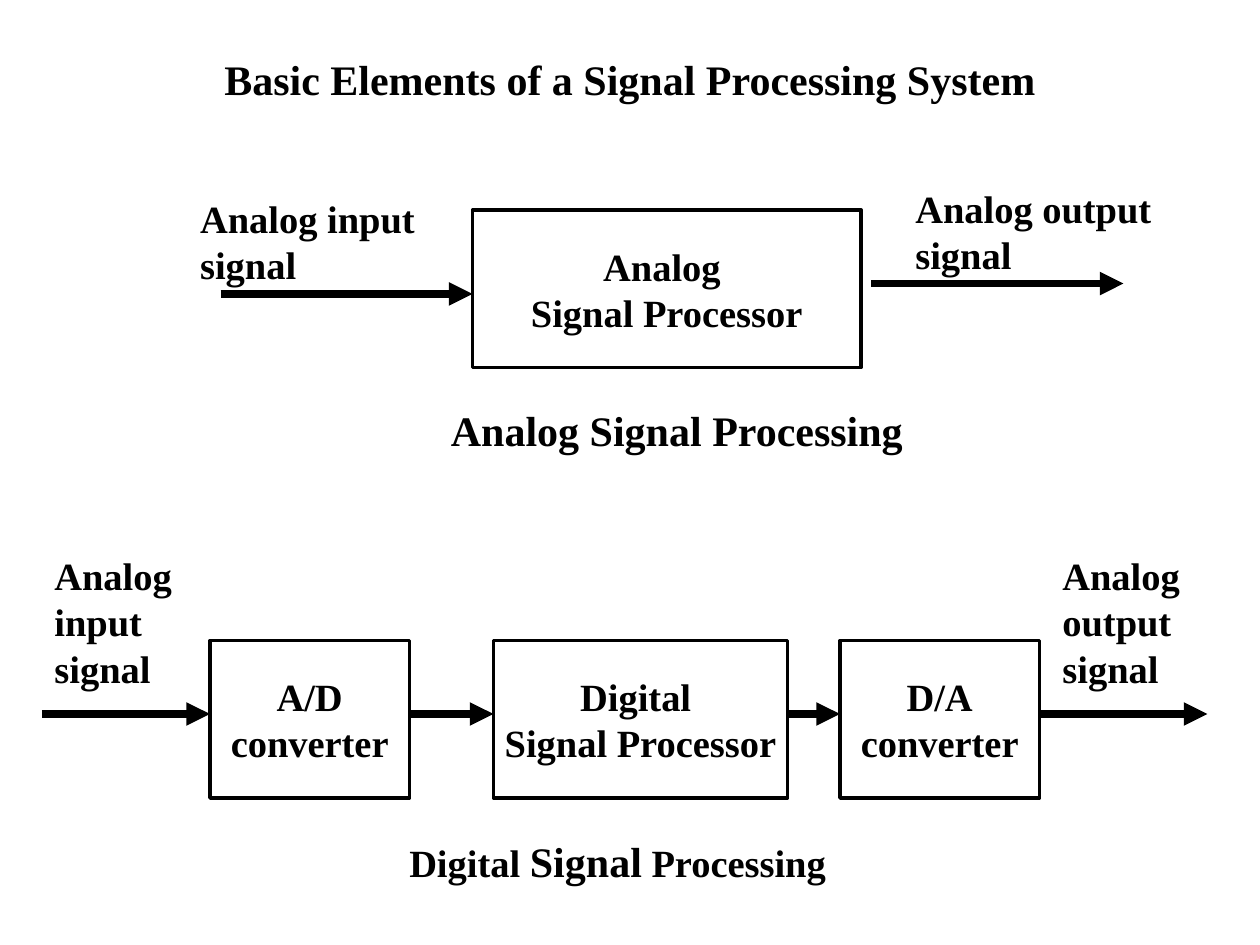
import pptx
import pptx.util
import pptx.dml.color
import pptx.enum.shapes
import pptx.enum.text
import pptx.oxml

# Content; lengths are cells of a 120 x 90 grid (12 cells to the inch)
COLUMNS, ROWS = 120, 90
CELL = pptx.util.Inches(10) // COLUMNS
INK, PAPER = "000000", "FFFFFF"
BODY, HEADING = 22, 24
BOX_HEIGHT = 15

title_text = "Basic Elements of a Signal Processing System"

# Blocks: left, top, width, lines
blocks = [
    (45, 20, 37, ["Analog ", "Signal Processor"]),
    (20, 61, 19, ["A/D", "converter"]),
    (47, 61, 28, ["Digital ", "Signal Processor"]),
    (80, 61, 19, ["D/A", "converter"]),
]

# Arrows: row, start column, end column
analog_arrows = [(28, 21, 45), (27, 83, 107)]
digital_row, digital_start, digital_end = 68, 4, 115

# Labels: left, top, width, height, lines made of (text, size) runs
labels = [
    (17.88, 18, 23.16, 10.08, [[("Analog input", BODY)], [("signal", BODY)]]),
    (86, 17, 25.2, 10.08, [[("Analog output", BODY)], [("signal", BODY)]]),
    (41.76, 37.92, 45.84, 6, [[("Analog Signal Processing", HEADING)]]),
    (37.8, 79, 42.48, 6,
     [[("Digital ", BODY), ("Signal", HEADING), (" Processing", BODY)]]),
]
for left, direction in ((4, "input"), (100, "output")):
    labels.append((left, 52, 14.64, 14.52,
                   [[(word, BODY)] for word in ("Analog", direction, "signal")]))


def color(value):
    return pptx.dml.color.RGBColor.from_string(value)


def cells(*lengths):
    return [round(length * CELL) for length in lengths]


def write(frame, lines, align, anchor, wrap=False):
    for name, value in {"word_wrap": wrap, "vertical_anchor": anchor}.items():
        setattr(frame, name, value)
    for index, line in enumerate(lines):
        paragraph = frame.add_paragraph() if index else frame.paragraphs[0]
        paragraph.alignment = align
        for text, size in line:
            run = paragraph.add_run()
            run.text = text
            run.font.color.rgb = color(INK)
            style = {"name": "Times New Roman", "size": pptx.util.Pt(size), "bold": True}
            for name, value in style.items():
                setattr(run.font, name, value)


def add_block(left, top, width, lines):
    block = slide.shapes.add_shape(pptx.enum.shapes.MSO_SHAPE.RECTANGLE,
                                   *cells(left, top, width, BOX_HEIGHT))
    block.shadow.inherit = False
    block.fill.solid()
    block.fill.fore_color.rgb = color(PAPER)
    block.line.color.rgb = color(INK)
    block.line.width = pptx.util.Pt(2)
    write(block.text_frame, [[(line, BODY)] for line in lines], CENTER, MIDDLE)


def add_arrow(row, start, end):
    arrow = slide.shapes.add_connector(pptx.enum.shapes.MSO_CONNECTOR.STRAIGHT,
                                       *cells(start, row, end, row))
    arrow.line.color.rgb = color(INK)
    arrow.line.width = pptx.util.Pt(4.5)
    namespace = pptx.oxml.ns.nsdecls("a")
    arrow.line._get_or_add_ln().append(
        pptx.oxml.parse_xml(f'<a:tailEnd {namespace} type="triangle"/>'))
    arrow._element.spPr.append(pptx.oxml.parse_xml(f"<a:effectLst {namespace}/>"))


CENTER, LEFT = pptx.enum.text.PP_ALIGN.CENTER, pptx.enum.text.PP_ALIGN.LEFT
MIDDLE, TOP = pptx.enum.text.MSO_ANCHOR.MIDDLE, pptx.enum.text.MSO_ANCHOR.TOP

deck = pptx.Presentation()
deck.slide_width, deck.slide_height = cells(COLUMNS, ROWS)
slide = deck.slides.add_slide(deck.slide_layouts[5])

# Title
title = slide.shapes.title
title.left, title.top, title.width, title.height = cells(9, 0, 102, 15)
write(title.text_frame, [[(title_text, HEADING)]], CENTER, MIDDLE, wrap=True)

# Processing blocks
for block in blocks:
    add_block(*block)

# Arrows: the digital chain runs from each block's right edge to the next block
for arrow in analog_arrows:
    add_arrow(*arrow)
chain = blocks[1:]
starts = [digital_start] + [left + width for left, _, width, _ in chain]
ends = [left for left, *_ in chain] + [digital_end]
for start, end in zip(starts, ends):
    add_arrow(digital_row, start, end)

# Signal labels and captions
for *place, lines in labels:
    label = slide.shapes.add_textbox(*cells(*place))
    write(label.text_frame, lines, LEFT, TOP)
    label.text_frame.auto_size = pptx.enum.text.MSO_AUTO_SIZE.SHAPE_TO_FIT_TEXT

deck.save("out.pptx")
